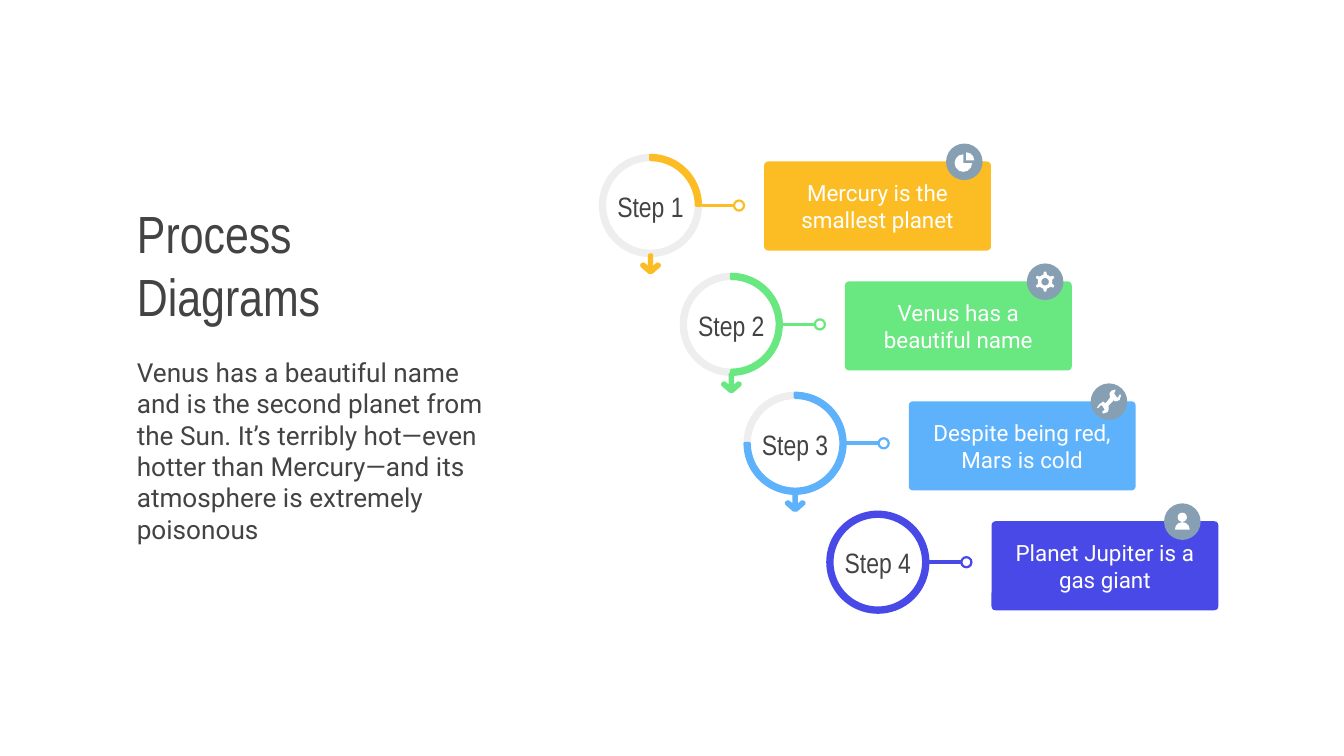
from pptx import Presentation
from pptx.dml.color import RGBColor
from pptx.enum.shapes import MSO_CONNECTOR, MSO_SHAPE
from pptx.enum.text import MSO_ANCHOR, PP_ALIGN
from pptx.oxml.ns import qn
from pptx.util import Pt
from lxml.etree import SubElement

DARK = RGBColor(0x43, 0x43, 0x43)
WHITE = RGBColor(0xFF, 0xFF, 0xFF)
GREY = RGBColor(0xEE, 0xEE, 0xEE)
SLATE = RGBColor(0x86, 0x9F, 0xB2)
AMBER = RGBColor(0xFC, 0xBD, 0x24)
GREEN = RGBColor(0x69, 0xE7, 0x81)
BLUE = RGBColor(0x5E, 0xB2, 0xFC)
INDIGO = RGBColor(0x49, 0x49, 0xE7)

RING = 53.8
BAND = 2.45
BADGE = 19.6
TOP = 110.1
RING_GAP = 63.7
CARD_TOP = 86.5
CARD_GAP = 64.25

ARROW = [(0.7, 0.75), (0.7, 8.2), (3.7, 5.6), (4.8, 6.1), (4.7, 6.8), (0.7, 10.3)]
WRENCH = [(14, 0), (11, 1), (9.5, 3), (10, 6), (7, 10), (6, 10), (5, 9),
          (2, 11), (0, 14), (1, 14), (3, 12), (4, 12), (6, 15), (4, 17),
          (5, 18), (8, 17), (9, 15), (9, 12), (12, 9), (12, 8), (14, 9),
          (17, 8), (18, 5), (18, 4), (17, 4), (16, 6), (15, 6), (13, 3), (14, 1)]


def paint(shape, fill, line=None, width=1.5):
    shape.shadow.inherit = False
    if fill is None:
        shape.fill.background()
    else:
        shape.fill.solid()
        shape.fill.fore_color.rgb = fill
    if line is None:
        shape.line.fill.background()
    else:
        shape.line.color.rgb = line
        shape.line.width = Pt(width)


def add_round(shapes, kind, x, y, size, fill, line=None, width=1.5):
    """Add a square-framed preset centred on x, y."""
    shape = shapes.add_shape(kind, Pt(x - size / 2), Pt(y - size / 2), Pt(size), Pt(size))
    paint(shape, fill, line, width)
    return shape


def set_arc(shape, start, end):
    """Set start and end in degrees, clockwise from three o'clock."""
    shape.adjustments[0] = start * 0.6
    shape.adjustments[1] = end * 0.6


def add_poly(shapes, points, fill, line=None):
    spots = [(Pt(x), Pt(y)) for x, y in points]
    form = shapes.build_freeform(*spots[0])
    form.add_line_segments(spots[1:], close=True)
    paint(form.convert_to_shape(), fill, line)


def put_text(shape, text, font, size, color, align, anchor=MSO_ANCHOR.MIDDLE):
    frame = shape.text_frame
    frame.word_wrap = True
    frame.vertical_anchor = anchor
    frame.margin_left = frame.margin_right = Pt(7.2)
    frame.margin_top = frame.margin_bottom = Pt(7.2)
    para = frame.paragraphs[0]
    para.alignment = align
    run = para.add_run()
    run.text = text
    run.font.name = font
    run.font.size = Pt(size)
    run.font.color.rgb = color


def add_ring(shapes, x, y, color, share):
    """Colour a share of the ring clockwise from the top; the rest is grey."""
    if share == 1:
        ring = add_round(shapes, MSO_SHAPE.DONUT, x, y, RING, color, color)
        ring.adjustments[0] = BAND / RING
        return
    end = (270 + 360 * share) % 360
    for start, stop, tint in ((end, 270, GREY), (270, end, color)):
        arc = add_round(shapes, MSO_SHAPE.BLOCK_ARC, x, y, RING, tint, tint)
        set_arc(arc, start, stop)
        arc.adjustments[2] = BAND / RING


def add_link(shapes, x, y, color):
    """Draw the line and open dot between a ring and its card."""
    line = shapes.add_connector(MSO_CONNECTOR.STRAIGHT, Pt(x + 26), Pt(y), Pt(x + 44.6), Pt(y))
    line.line.color.rgb = color
    line.line.width = Pt(2)
    SubElement(line._element.spPr, qn("a:effectLst"))
    add_round(shapes, MSO_SHAPE.OVAL, x + 47.4, y, 5.4, None, color, 1.2)


def add_arrow(shapes, x, y, color):
    left = [(-dx, dy) for dx, dy in reversed(ARROW)]
    add_poly(shapes, [(x + dx, y + dy) for dx, dy in ARROW + left], color, color)


def add_card(shapes, x, y, text, color):
    card = shapes.add_shape(MSO_SHAPE.ROUNDED_RECTANGLE, Pt(x), Pt(y), Pt(121.5), Pt(47.7))
    card.adjustments[0] = 0.045
    paint(card, color)
    put_text(card, text, "Roboto", 12, WHITE, PP_ALIGN.CENTER)


def draw_pie(shapes, x, y):
    set_arc(add_round(shapes, MSO_SHAPE.PIE, x - 0.5, y + 0.7, 9.4, WHITE), 0, 270)
    set_arc(add_round(shapes, MSO_SHAPE.PIE, x + 1, y - 0.7, 8.8, WHITE), 270, 0)


def draw_gear(shapes, x, y):
    add_round(shapes, MSO_SHAPE.GEAR_6, x, y, 11, WHITE)
    add_round(shapes, MSO_SHAPE.OVAL, x, y, 4, SLATE)


def draw_wrench(shapes, x, y):
    add_poly(shapes, [(x - 6.6 + dx * 0.72, y - 6.6 + dy * 0.72) for dx, dy in WRENCH], WHITE)


def draw_user(shapes, x, y):
    add_round(shapes, MSO_SHAPE.OVAL, x, y - 2.3, 5, WHITE)
    set_arc(add_round(shapes, MSO_SHAPE.PIE, x, y + 4.3, 8, WHITE), 180, 0)


def add_label(shapes, x, y, text):
    box = shapes.add_textbox(Pt(x - RING / 2), Pt(y - 12), Pt(RING), Pt(24))
    put_text(box, text, "Arial Narrow", 15, DARK, PP_ALIGN.CENTER)


def main():
    deck = Presentation()
    deck.slide_width, deck.slide_height = Pt(720), Pt(405)
    slide = deck.slides.add_slide(deck.slide_layouts[5])
    shapes = slide.shapes

    title = shapes.title
    title.left, title.top, title.width, title.height = Pt(66.2), Pt(108), Pt(196), Pt(67)
    put_text(title, "Process Diagrams", "Arial Narrow", 28, DARK, PP_ALIGN.LEFT)
    body = shapes.add_textbox(Pt(66.2), Pt(183.6), Pt(207.4), Pt(113.8))
    put_text(body, "Venus has a beautiful name and is the second planet from the Sun. "
             "It’s terribly hot—even hotter than Mercury—and its atmosphere is "
             "extremely poisonous", "Roboto", 14, DARK, PP_ALIGN.LEFT, MSO_ANCHOR.TOP)

    steps = [
        (348.5, AMBER, "Mercury is the smallest planet", draw_pie, 107.2),
        (391.8, GREEN, "Venus has a beautiful name", draw_gear, 107.2),
        (426, BLUE, "Despite being red, Mars is cold", draw_wrench, 107.2),
        (470.3, INDIGO, "Planet Jupiter is a gas giant", draw_user, 102.2),
    ]
    for i, (x, color, text, draw, shift) in enumerate(steps):
        y = TOP + i * RING_GAP
        card_x, card_y = x + 60.9, CARD_TOP + i * CARD_GAP
        add_link(shapes, x, y, color)
        add_ring(shapes, x, y, color, (i + 1) / len(steps))
        add_card(shapes, card_x, card_y, text, color)
        add_round(shapes, MSO_SHAPE.OVAL, card_x + shift, card_y + 0.2, BADGE, SLATE)
        draw(shapes, card_x + shift, card_y + 0.2)
        add_label(shapes, x, y + 0.3, f"Step {i + 1}")
        if i < len(steps) - 1:
            add_arrow(shapes, x, y + 25.6, color)

    deck.save("out.pptx")


if __name__ == "__main__":
    main()
